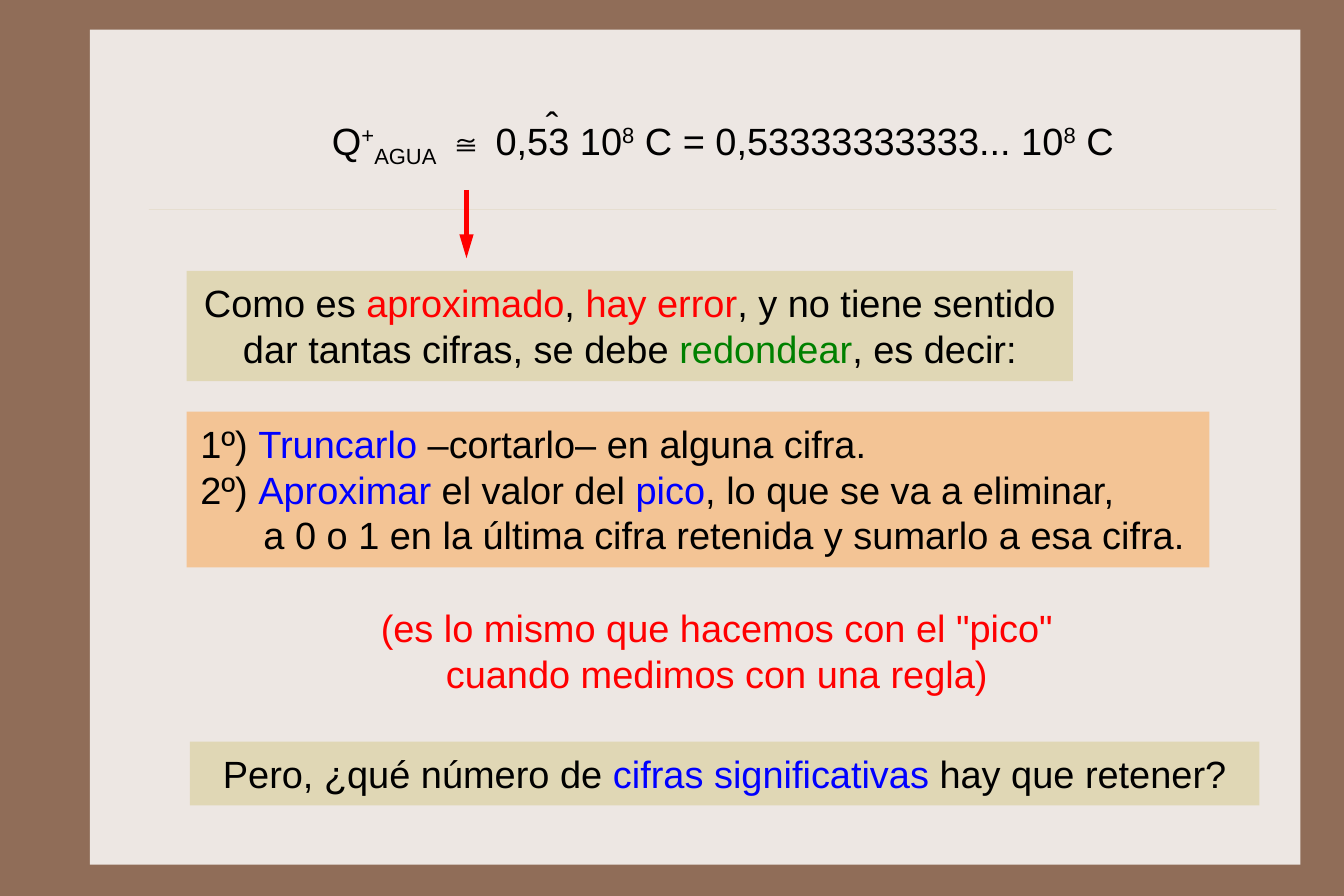
from lxml import etree
from pptx import Presentation
from pptx.dml.color import RGBColor
from pptx.enum.shapes import MSO_CONNECTOR, MSO_SHAPE
from pptx.enum.text import MSO_ANCHOR, PP_ALIGN
from pptx.oxml.ns import qn
from pptx.util import Pt

LEFT, CENTER = PP_ALIGN.LEFT, PP_ALIGN.CENTER
TOP, MIDDLE = MSO_ANCHOR.TOP, MSO_ANCHOR.MIDDLE
RECTANGLE, STRAIGHT = MSO_SHAPE.RECTANGLE, MSO_CONNECTOR.STRAIGHT

COLORS = {
    "brown": "906D58", "paper": "EDE7E3", "rule": "CBBD83",
    "sand": "E0D7B5", "peach": "F3C495", "black": "000000",
    "red": "FF0000", "green": "008000", "blue": "0000FF",
}
SUPERSCRIPT, SUBSCRIPT = "30000", "-25000"


def add_box(left, top, width, height, paragraphs=(), fill=None,
            align=LEFT, anchor=TOP, wrap=True, margins=(8.64, 5.76)):
    """Add a rectangle whose paragraphs are lists of (words, colour, baseline)."""
    place = Pt(left), Pt(top), Pt(width), Pt(height)
    if fill:
        box = page.shapes.add_shape(RECTANGLE, *place)
        box.shadow.inherit = False
        box.fill.solid()
        box.fill.fore_color.rgb = RGBColor.from_string(COLORS[fill])
        box.line.fill.background()
    else:
        box = page.shapes.add_textbox(*place)
    frame = box.text_frame
    frame.word_wrap = wrap
    frame.vertical_anchor = anchor
    frame.margin_left = frame.margin_right = Pt(margins[0])
    frame.margin_top = frame.margin_bottom = Pt(margins[1])
    for index, spans in enumerate(paragraphs):
        para = frame.add_paragraph() if index else frame.paragraphs[0]
        para.alignment = align
        para.font.name = "Arial"
        para.font.size = Pt(24)
        for words, color, baseline in spans:
            span = para.add_run()
            span.text = words
            span.font.color.rgb = RGBColor.from_string(COLORS[color])
            if baseline:
                span._r.get_or_add_rPr().set("baseline", baseline)
    return box


def add_line(start, end, color, width):
    line = page.shapes.add_connector(STRAIGHT, *map(Pt, start + end))
    line.line.color.rgb = RGBColor.from_string(COLORS[color])
    line.line.width = Pt(width)
    etree.SubElement(line._element.spPr, qn("a:effectLst"))
    return line


deck = Presentation()
deck.slide_width, deck.slide_height = Pt(850.5), Pt(567)
page = deck.slides.add_slide(deck.slide_layouts[6])
page.background.fill.solid()
page.background.fill.fore_color.rgb = RGBColor.from_string(COLORS["brown"])

add_box(56.9, 18.7, 766.1, 528.5, fill="paper")
rule = add_line((94.3, 132.5), (807.8, 132.5), "rule", 0.25)
rule_color = next(rule._element.spPr.iter(qn("a:srgbClr")))
etree.SubElement(rule_color, qn("a:alpha"), val="30000")

formula = [
    ("Q", "black", None), ("+", "black", SUPERSCRIPT),
    ("AGUA", "black", SUBSCRIPT), (" ≅ 0,53 10", "black", None),
    ("8", "black", SUPERSCRIPT),
    (" C = 0,53333333333... 10", "black", None),
    ("8", "black", SUPERSCRIPT), (" C", "black", None),
]
add_box(203, 70.6, 511.2, 36.7, [formula], wrap=False, margins=(7.2, 3.6))
add_box(338.4, 60.5, 22.3, 36.7, [[("ˆ", "black", None)]],
        wrap=False, margins=(7.2, 3.6))

steps = add_box(118.1, 260.6, 647.3, 98.6, [
    [("1º) ", "black", None), ("Truncarlo", "blue", None),
     (" –cortarlo– en alguna cifra.", "black", None)],
    [("2º) ", "black", None), ("Aproximar", "blue", None),
     (" el valor del ", "black", None), ("pico", "blue", None),
     (", lo que se va a eliminar,", "black", None)],
    [("a 0 o 1 en la última cifra retenida y sumarlo a esa cifra.",
      "black", None)],
], "peach")
last_step = steps.text_frame.paragraphs[-1]
last_step._p.get_or_add_pPr().set("marL", str(Pt(40)))

arrow = add_line((295.2, 120.2), (295.2, 163.4), "red", 3)
etree.SubElement(arrow._element.spPr.find(qn("a:ln")), qn("a:tailEnd"),
                 type="triangle", w="med", len="lg")

add_box(118.1, 171.4, 560.9, 69.8, [[
    ("Como es ", "black", None), ("aproximado", "red", None),
    (", ", "black", None), ("hay error", "red", None),
    (", y no tiene sentido dar tantas cifras, se debe ", "black", None),
    ("redondear", "green", None), (", es decir:", "black", None),
]], "sand", CENTER)

add_box(120.2, 469.4, 676.8, 40.3, [[
    ("Pero, ¿qué número de ", "black", None),
    ("cifras significativas", "blue", None),
    (" hay que retener?", "black", None),
]], "sand", CENTER)

add_box(230.4, 376.6, 446.4, 69.8, [[
    ('(es lo mismo que hacemos con el "pico" cuando medimos con una regla)',
     "red", None),
]], align=CENTER, anchor=MIDDLE)

deck.save("out.pptx")
